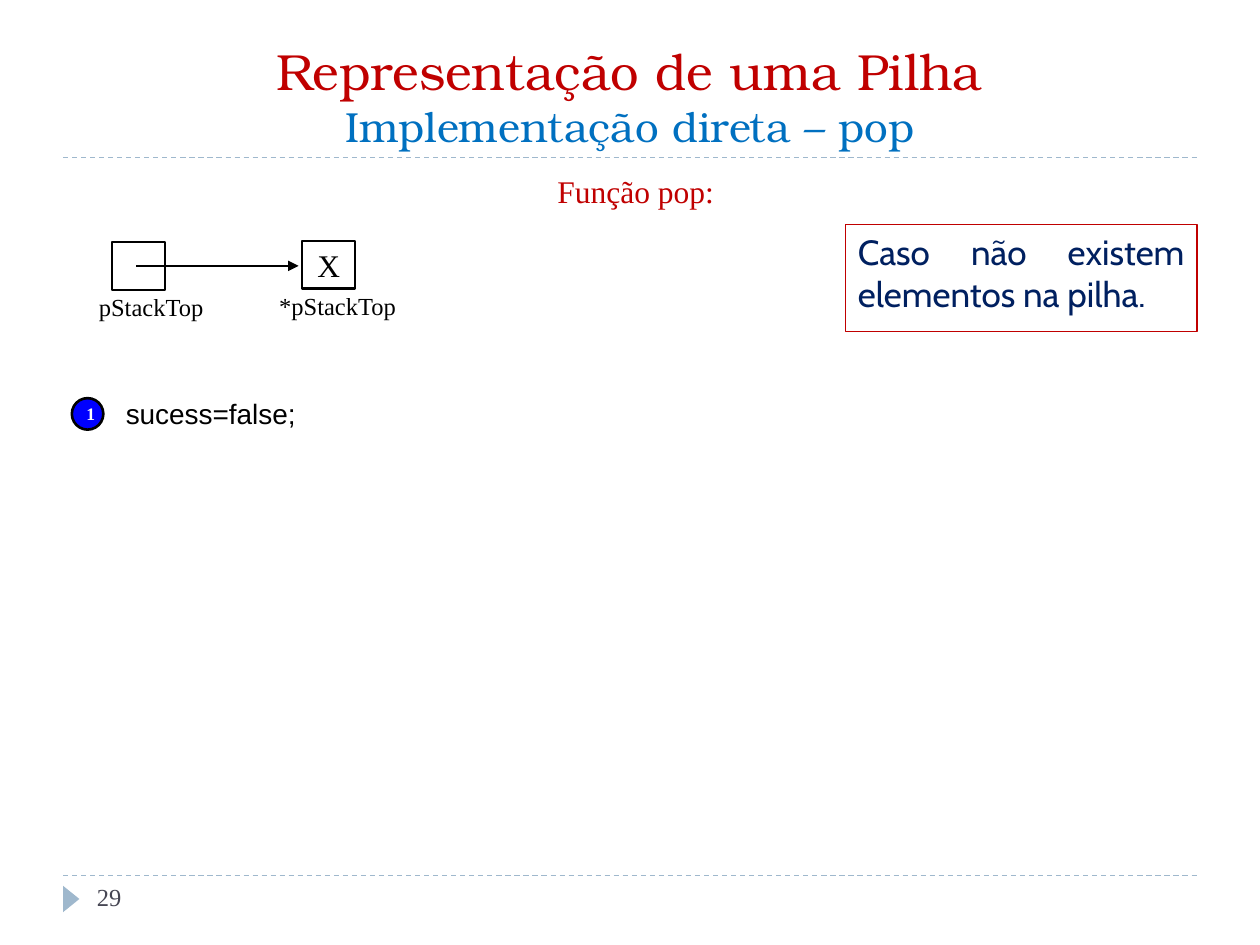
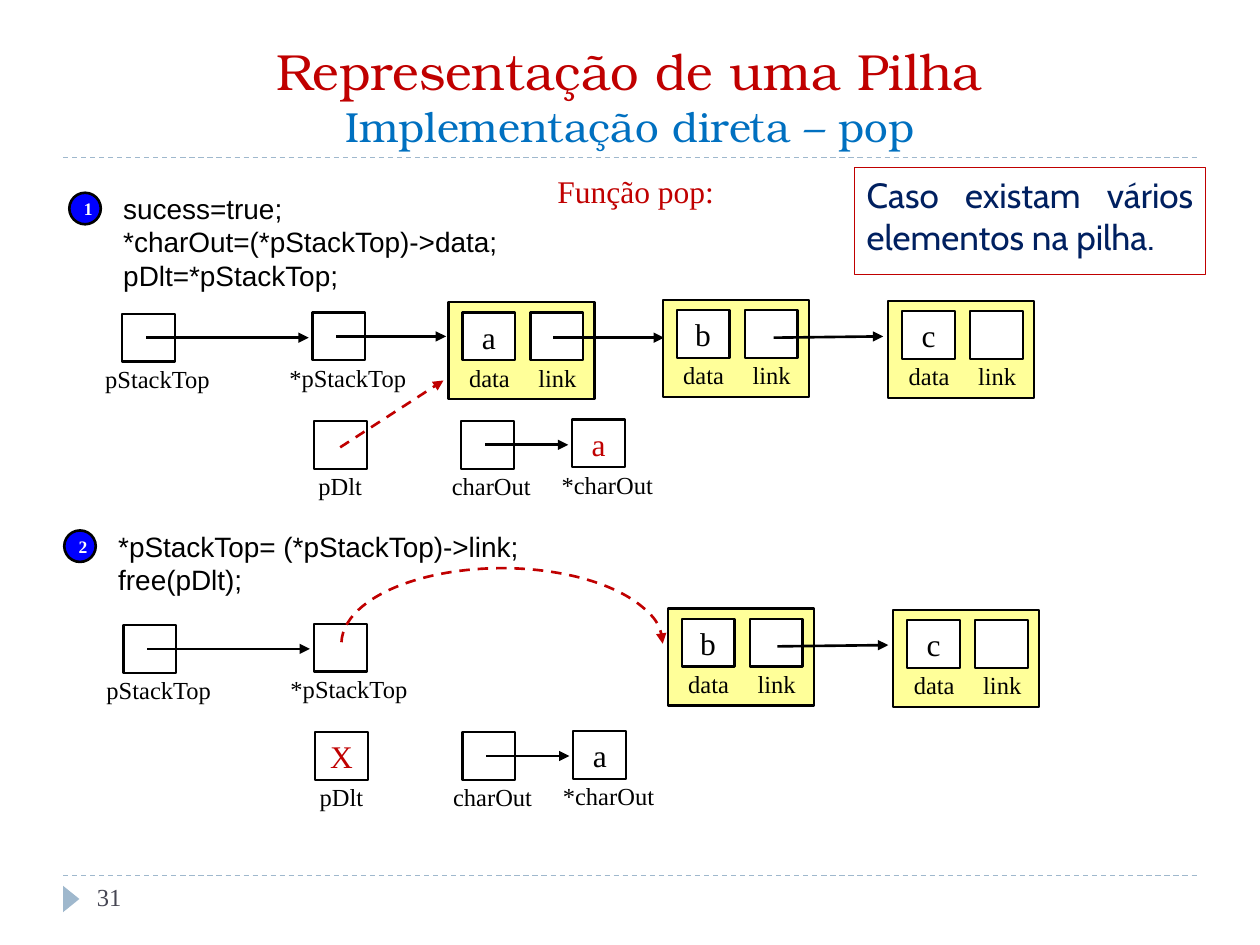
import dataclasses

import pptx
import pptx.dml.color
import pptx.enum.dml
import pptx.enum.shapes
import pptx.enum.text
import pptx.oxml
import pptx.oxml.ns
import pptx.util

Align = pptx.enum.text.PP_ALIGN
Anchor = pptx.enum.text.MSO_ANCHOR
Preset = pptx.enum.shapes.MSO_SHAPE

# The grid divides the 10 x 7.5 inch slide into square cells.
COLUMNS, ROWS = 100, 75
BOX_W, BOX_H = 4.2, 3.8


@dataclasses.dataclass(frozen=True)
class TextStyle:
    font: str
    size: float
    colour: str
    align: Align = Align.CENTER
    bold: bool = False


@dataclasses.dataclass(frozen=True)
class Theme:
    ink: str = "000000"
    paper: str = "FFFFFF"
    accent: str = "C00000"
    rule: str = "9FB8CD"
    node: str = "FFFF99"
    badge: str = "0000FF"
    thin: float = 0.75
    outline: float = 1.25
    stroke: float = 1.5
    title: TextStyle = TextStyle("TeX Gyre Bonum", 29, "C00000")
    subtitle: TextStyle = TextStyle("TeX Gyre Bonum", 24, "0070C0")
    page: TextStyle = TextStyle("Times New Roman", 14, "464653", Align.LEFT)
    heading: TextStyle = TextStyle("Times New Roman", 18, "C00000")
    value: TextStyle = TextStyle("Times New Roman", 18, "000000")
    label: TextStyle = TextStyle("Times New Roman", 14, "000000")
    code: TextStyle = TextStyle("Arial", 16, "000000", Align.LEFT)
    case: TextStyle = TextStyle("Cabin", 20, "002060", Align.JUSTIFY)
    step: TextStyle = TextStyle("Times New Roman", 10, "FFFFFF", bold=True)


def rgb(colour):
    return pptx.dml.color.RGBColor.from_string(colour)


def format_run(run, style):
    run.font.name = style.font
    run.font.size = pptx.util.Pt(style.size)
    run.font.bold = style.bold
    run.font.color.rgb = rgb(style.colour)


def write(shape, text, style, anchor=Anchor.TOP, wrap=True):
    frame = shape.text_frame
    frame.text = text
    frame.word_wrap = wrap
    frame.vertical_anchor = anchor
    for paragraph in frame.paragraphs:
        paragraph.alignment = style.align
        for run in paragraph.runs:
            format_run(run, style)


def add_arrowhead(shape):
    outline = shape.element.spPr.find(pptx.oxml.ns.qn("a:ln"))
    head = pptx.oxml.parse_xml(
        f'<a:tailEnd {pptx.oxml.ns.nsdecls("a")} type="triangle"/>')
    outline.append(head)


class StackDeck:
    """Draws stack diagrams; every position and length is in grid cells."""

    def __init__(self, theme):
        self.theme = theme
        self.deck = pptx.Presentation()
        self.deck.slide_width = pptx.util.Inches(10)
        self.deck.slide_height = pptx.util.Inches(7.5)
        self.slide = None

    def x(self, columns):
        return round(self.deck.slide_width * columns / COLUMNS)

    def y(self, rows):
        return round(self.deck.slide_height * rows / ROWS)

    def area(self, col, row, width, height):
        return self.x(col), self.y(row), self.x(width), self.y(height)

    def stroke(self, line, colour, weight, dashed=False):
        line.color.rgb = rgb(colour)
        line.width = pptx.util.Pt(weight)
        if dashed:
            line.dash_style = pptx.enum.dml.MSO_LINE.DASH

    def shape(self, preset, area, fill=None, line=None, weight=None,
              dashed=False, parent=None):
        shape = (parent or self.slide).shapes.add_shape(
            preset, *self.area(*area))
        shape.shadow.inherit = False
        if fill:
            shape.fill.solid()
            shape.fill.fore_color.rgb = rgb(fill)
        else:
            shape.fill.background()
        if line:
            self.stroke(shape.line, line, weight, dashed)
        else:
            shape.line.fill.background()
        return shape

    def text(self, area, text, style, anchor=Anchor.TOP, wrap=True,
             parent=None):
        box = (parent or self.slide).shapes.add_textbox(*self.area(*area))
        write(box, text, style, anchor, wrap)
        return box

    def line(self, start, end, colour, weight, dashed=False):
        connector = self.slide.shapes.add_connector(
            pptx.enum.shapes.MSO_CONNECTOR.STRAIGHT,
            self.x(start[0]), self.y(start[1]), self.x(end[0]), self.y(end[1]))
        self.stroke(connector.line, colour, weight, dashed)
        connector.element.spPr.append(pptx.oxml.parse_xml(
            f'<a:effectLst {pptx.oxml.ns.nsdecls("a")}/>'))
        return connector

    def arrow(self, start, end, colour=None, dashed=False):
        add_arrowhead(self.line(start, end, colour or self.theme.ink,
                                self.theme.stroke, dashed))

    def arc_arrow(self, area):
        """Dashed half ellipse that runs over the top from left to right."""
        arc = self.shape(Preset.ARC, area, line=self.theme.accent,
                         weight=self.theme.stroke, dashed=True)
        arc.adjustments[0] = 108.33
        arc.adjustments[1] = 0
        add_arrowhead(arc)

    def new_slide(self, number):
        theme = self.theme
        self.slide = self.deck.slides.add_slide(self.deck.slide_layouts[6])
        for row in (69.5, 12.5):
            self.line((5, row), (95, row), theme.rule, theme.thin, True)
        marker = self.shape(Preset.ISOSCELES_TRIANGLE, (4.6, 70.7, 2.1, 1.3),
                            theme.rule)
        marker.rotation = 90
        title = self.text(
            (5, 2.5, 90, 10),
            "Representação de uma Pilha\vImplementação direta – pop",
            theme.title, Anchor.BOTTOM)
        format_run(title.text_frame.paragraphs[0].runs[1], theme.subtitle)
        self.text((6.7, 69.5, 21.7, 4), str(number), theme.page)
        self.text((40.9, 13.2, 19.1, 4), "Função pop:", theme.heading)

    def case(self, col, row, text):
        box = self.shape(Preset.RECTANGLE, (col, row, 27.9, 8.5),
                         line=self.theme.accent, weight=self.theme.thin)
        write(box, text, self.theme.case)

    def step(self, col, row, number, code):
        """Numbered badge with its lines of code to the right."""
        badge = self.shape(Preset.OVAL, (col, row, 2.5, 2.5),
                           self.theme.badge, self.theme.ink, self.theme.stroke)
        write(badge, str(number), self.theme.step, Anchor.MIDDLE)
        height = 1 + 2.7 * len(code)
        self.text((col + 3.3, row - 0.6, 34, height), "\n".join(code),
                  self.theme.code)

    def box(self, col, row, value="", colour=None, parent=None):
        theme = self.theme
        box = self.shape(Preset.RECTANGLE, (col, row, BOX_W, BOX_H),
                         theme.paper, theme.ink, theme.outline, parent=parent)
        if value:
            style = dataclasses.replace(theme.value,
                                        colour=colour or theme.ink)
            write(box, value, style, Anchor.MIDDLE)

    def variable(self, col, row, name, value="", colour=None, shift=0.7):
        """Box with its name below, moved right of centre by shift."""
        self.box(col, row, value, colour)
        width = 11.4
        left = col + (BOX_W - width) / 2 + shift
        self.text((left, row + 3.5, width, 3.4), name, self.theme.label,
                  wrap=False)

    def reference(self, col, row, name, gap, value="", colour=None, shift=0.7):
        """Pointer variable, and the variable it points to gap columns on."""
        self.variable(col + gap, row - 0.1, "*" + name, value, colour)
        self.variable(col, row, name, shift=shift)
        middle = row + BOX_H / 2
        self.arrow((col + 1.9, middle), (col + gap - 0.3, middle))

    def node(self, col, row, value):
        theme = self.theme
        group = self.slide.shapes.add_group_shape()
        self.shape(Preset.RECTANGLE, (col, row, 11.6, 7.7), theme.node,
                   theme.ink, theme.outline, parent=group)
        for offset, field, content in ((1.1, "data", value), (6.5, "link", "")):
            self.box(col + offset, row + 0.8, content, parent=group)
            self.text((col + offset - 0.5, row + 4.3, 5.3, 3.4), field,
                      theme.label, wrap=False, parent=group)

    def save(self):
        self.deck.save("out.pptx")


def empty_stack(deck):
    deck.new_slide(29)
    deck.reference(8.9, 19.2, "pStackTop", 15.1, "X", shift=1)
    deck.case(67.1, 17.8, "Caso não existem elementos na pilha.")
    deck.step(5.7, 31.6, 1, ["sucess=false;"])


def filled_stack(deck):
    accent = deck.theme.accent
    deck.new_slide(31)
    deck.case(67.8, 13.3, "Caso existam vários elementos na pilha.")
    deck.step(5.5, 15.3, 1, ["sucess=true;", "*charOut=(*pStackTop)->data;",
                             "pDlt=*pStackTop;"])
    deck.step(5.1, 42.1, 2, ["*pStackTop= (*pStackTop)->link;", "free(pDlt);"])

    # Variables before and after the removal.
    for col, row, deleted, char_colour in ((9.7, 24.9, "", accent),
                                           (9.8, 49.6, "X", None)):
        deck.reference(col, row, "pStackTop", 15.1)
        deck.variable(col + 15.2, row + 8.5, "pDlt", deleted, accent, shift=0)
        deck.reference(col + 26.9, row + 8.5, "charOut", 8.8, "a",
                       char_colour, shift=0.3)

    for col, row, value in ((35.6, 24, "a"), (52.6, 23.8, "b"),
                            (70.5, 23.9, "c"), (53, 48.3, "b"),
                            (70.9, 48.4, "c")):
        deck.node(col, row, value)

    for start, end in (((26.7, 26.7), (35.4, 26.7)),
                       ((43.9, 26.8), (52.7, 26.8)),
                       ((61.4, 26.8), (70.1, 26.7)),
                       ((61.7, 51.3), (70.5, 51.2))):
        deck.arrow(start, end)
    deck.arrow((27, 35.5), (35.2, 30.2), accent, dashed=True)
    deck.arc_arrow((27.1, 45.1, 25.5, 12))


def main():
    deck = StackDeck(Theme())
    empty_stack(deck)
    filled_stack(deck)
    deck.save()


if __name__ == "__main__":
    main()
